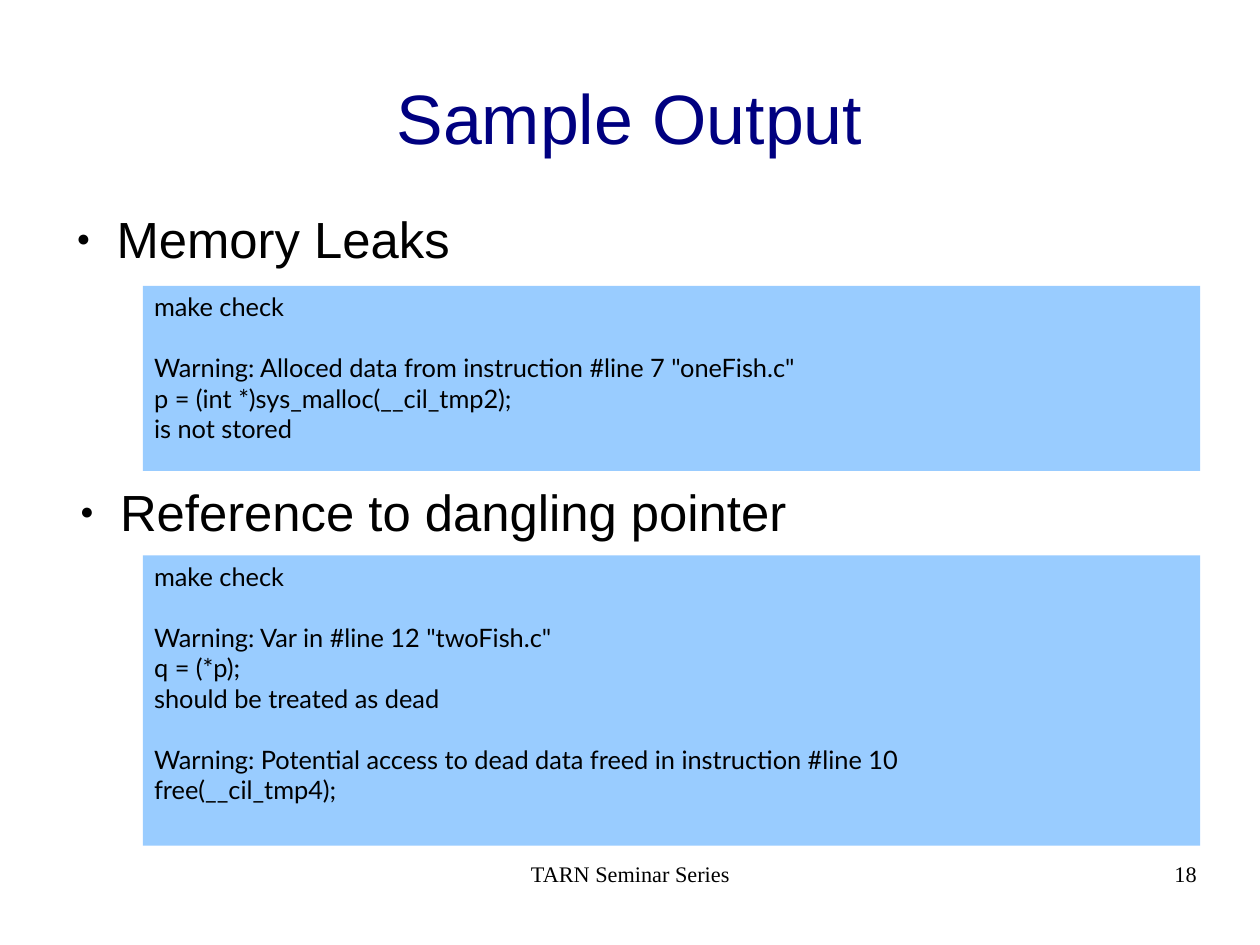
from lxml import etree
from pptx import Presentation
from pptx.dml.color import RGBColor
from pptx.enum.shapes import MSO_SHAPE
from pptx.enum.text import MSO_ANCHOR, PP_ALIGN
from pptx.oxml.ns import qn
from pptx.util import Inches, Pt

RECT = MSO_SHAPE.RECTANGLE
TOP, MIDDLE = MSO_ANCHOR.TOP, MSO_ANCHOR.MIDDLE
LEFT, CENTER, RIGHT = PP_ALIGN.LEFT, PP_ALIGN.CENTER, PP_ALIGN.RIGHT
NAVY = RGBColor(0x00, 0x00, 0x80)
BLACK = RGBColor(0x00, 0x00, 0x00)
SKY = RGBColor(0x99, 0xCC, 0xFF)

LEAK = [
    ["make check"],
    ['Warning: Alloced data from instruction #line 7 "oneFish.c"',
     "p = (int *)sys_malloc(__cil_tmp2);",
     "is not stored"],
]
DANGLE = [
    ["make check"],
    ['Warning: Var in #line 12 "twoFish.c"',
     "q = (*p);",
     "should be treated as dead"],
    ["Warning: Potential access to dead data freed in instruction #line 10",
     "free(__cil_tmp4);"],
]


def write(shape, groups, size, font, color=BLACK, align=LEFT,
          anchor=TOP, inset=(0, 0), gap=0):
    frame = shape.text_frame
    frame.word_wrap = True
    frame.vertical_anchor = anchor
    frame.margin_left = frame.margin_right = Inches(inset[0])
    frame.margin_top = frame.margin_bottom = Inches(inset[1])
    para = None
    for group in groups:
        for row, line in enumerate(group):
            first = para is None
            para = frame.paragraphs[0] if first else frame.add_paragraph()
            para.alignment = align
            if row == 0 and not first:
                para.space_before = Pt(gap)
            run = para.add_run()
            run.text = line
            run.font.size = Pt(size)
            run.font.name = font
            run.font.color.rgb = color


def label(slide, box, text, **form):
    shape = slide.shapes.add_textbox(*map(Inches, box))
    write(shape, [[text]], **form)
    return shape


def topic(slide, box, text):
    shape = label(slide, box, text, size=32, font="Arial")
    para = shape.text_frame.paragraphs[0]
    para.space_after = Pt(14.2)
    props = para._p.get_or_add_pPr()
    props.set("marL", str(Inches(0.47)))
    props.set("indent", str(Inches(-0.35)))
    tint = etree.SubElement(props, qn("a:buClr"))
    etree.SubElement(tint, qn("a:srgbClr")).set("val", str(BLACK))
    etree.SubElement(props, qn("a:buSzPct")).set("val", "45000")
    etree.SubElement(props, qn("a:buFont")).set("typeface", "Arial")
    etree.SubElement(props, qn("a:buChar")).set("char", "●")


def listing(slide, box, groups):
    panel = slide.shapes.add_shape(RECT, *map(Inches, box))
    panel.shadow.inherit = False
    panel.fill.solid()
    panel.fill.fore_color.rgb = SKY
    panel.line.fill.background()
    write(panel, groups, size=16, font="Lato", inset=(0.1, 0.05), gap=19.2)


def footer(slide, top):
    form = dict(size=14, font="Times New Roman")
    label(slide, (3.77, top, 3.49, 0.57), "TARN Seminar Series",
          align=CENTER, **form)
    label(slide, (7.9, top, 2.57, 0.57), "18", align=RIGHT, **form)


def main():
    deck = Presentation()
    deck.slide_width = Inches(28 / 2.54)
    deck.slide_height = Inches(21 / 2.54)
    slide = deck.slides.add_slide(deck.slide_layouts[6])
    label(slide, (0.55, 0.33, 9.92, 1.38), "Sample Output", size=44,
          font="Arial", color=NAVY, align=CENTER, anchor=MIDDLE)
    listing(slide, (1.25, 4.86, 9.25, 2.54), DANGLE)
    listing(slide, (1.25, 2.5, 9.25, 1.62), LEAK)
    topic(slide, (0.55, 1.82, 9.92, 0.57), "Memory Leaks")
    topic(slide, (0.58, 4.21, 9.92, 0.57), "Reference to dangling pointer")
    footer(slide, 7.53)
    deck.save("out.pptx")


if __name__ == "__main__":
    main()
